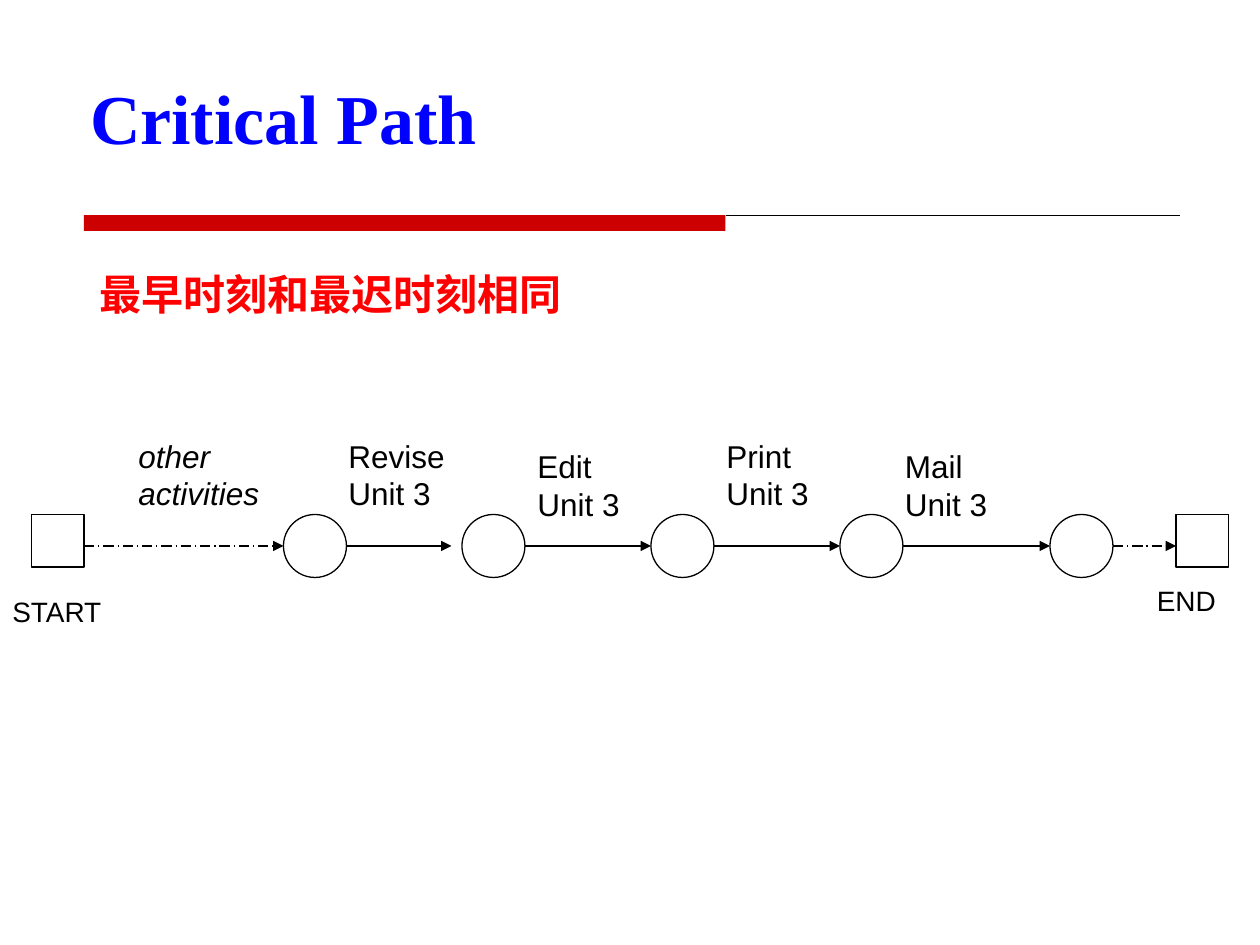
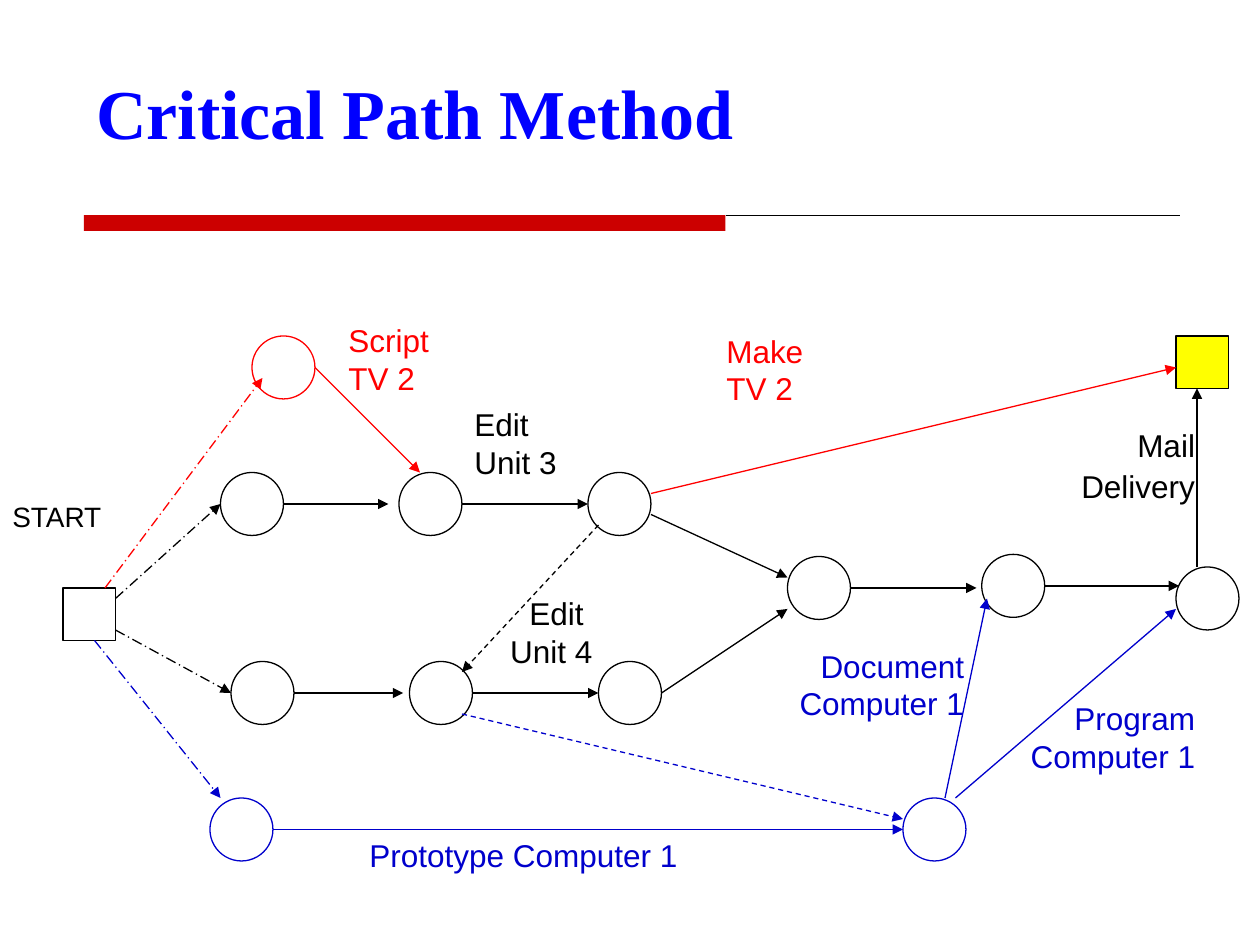
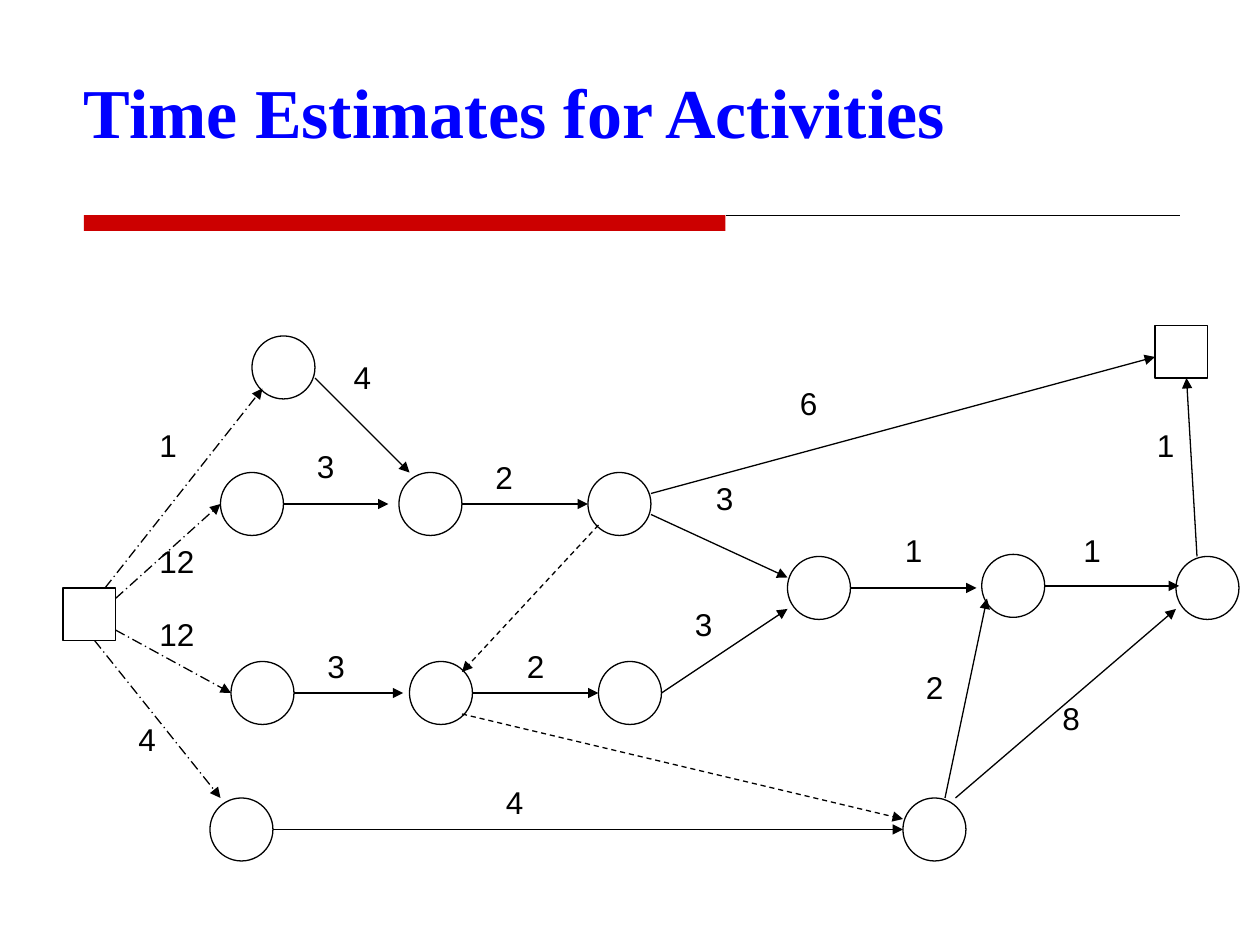
from dataclasses import dataclass

from lxml import etree
from pptx import Presentation, util as u
from pptx.dml.color import RGBColor
from pptx.enum import dml, shapes, text
from pptx.oxml.ns import qn

COLS, ROWS = 120, 90
DOT = dml.MSO_LINE.LONG_DASH_DOT
DASH = dml.MSO_LINE.DASH
RIGHT = text.PP_ALIGN.RIGHT


@dataclass(frozen=True)
class Theme:
    ink: str = "000000"
    title: str = "0000FF"
    band: str = "CC0000"
    red: str = "FF0000"
    blue: str = "0000CC"
    gold: str = "FFFF00"
    head: str = "Times New Roman"
    body: str = "Arial"
    big: int = 40
    sub: int = 24
    label: int = 18
    small: int = 16
    line: float = 0.75
    node: int = 6
    box: int = 5


class Deck:
    """Draws on the current slide; lengths are grid columns and rows."""

    def __init__(self, theme):
        self.t = theme
        self.prs = Presentation()
        self.prs.slide_width, self.prs.slide_height = u.Inches(10), u.Inches(7.5)

    def x(self, col):
        return round(self.prs.slide_width * col / COLS)

    def y(self, row):
        return round(self.prs.slide_height * row / ROWS)

    def page(self, title, col, row):
        """Starts a slide with its band, rule and title."""
        self.slide = self.prs.slides.add_slide(self.prs.slide_layouts[6])
        self.shape("RECTANGLE", 8, 20.5, 61.1, 1.5, fill=self.t.band, line=None)
        self.link((69.1, 20.5, 112.4, 20.5), head=False)
        box = self.text(title, col, row, 102, 15, self.t.title, self.t.big,
                        font=self.t.head, bold=True)
        box.vertical_anchor = text.MSO_ANCHOR.MIDDLE

    def shape(self, kind, col, row, wide, high, fill=None, line=Theme.ink):
        item = self.slide.shapes.add_shape(
            shapes.MSO_SHAPE[kind], self.x(col), self.y(row), self.x(wide), self.y(high))
        item.shadow.inherit = False
        for part, hue in ((item.fill, fill), (item.line.fill, line)):
            if hue:
                part.solid()
                part.fore_color.rgb = RGBColor.from_string(hue)
            else:
                part.background()
        if line:
            item.line.width = u.Pt(self.t.line)

    def node(self, col, row, hue=Theme.ink):
        self.shape("OVAL", col, row, self.t.node, self.t.node, line=hue)

    def box(self, col, row, fill=None):
        self.shape("RECTANGLE", col, row, self.t.box, self.t.box, fill)

    def link(self, ends, hue=Theme.ink, dash=None, head=True):
        a, b, c, d = ends
        item = self.slide.shapes.add_connector(
            shapes.MSO_CONNECTOR.STRAIGHT, self.x(a), self.y(b), self.x(c), self.y(d))
        item.line.color.rgb = RGBColor.from_string(hue)
        item.line.width = u.Pt(self.t.line)
        if dash:
            item.line.dash_style = dash
        props = item._element.spPr
        if head:
            etree.SubElement(props.find(qn("a:ln")), qn("a:tailEnd"), type="triangle")
        etree.SubElement(props, qn("a:effectLst"))

    def text(self, words, col, row, wide, high=None, hue=Theme.ink, size=Theme.label,
             font=Theme.body, bold=False, slant=False, align=None, gap=0):
        """Adds a text box, one paragraph a line; gap is the space between them."""
        lines = words.count("\n") + 1
        frame = self.slide.shapes.add_textbox(
            self.x(col), self.y(row), self.x(wide),
            self.y(high or 1.2 + 4.8 * lines)).text_frame
        frame.word_wrap = True
        frame.text = words
        for i, para in enumerate(frame.paragraphs):
            para.alignment = align
            if i and gap:
                para.space_before = u.Pt(gap)
            for run in para.runs:
                run.font.name, run.font.size = font, u.Pt(size)
                run.font.bold, run.font.italic = bold, slant
                run.font.color.rgb = RGBColor.from_string(hue)
        return frame


def chain(d):
    d.page("Critical Path", 7.4, 3.6)
    for col in (27, 44, 62, 80, 100):
        d.node(col, 49)
    for col in (3, 112):
        d.box(col, 49)
    for a, b, dash in ((8, 27, DOT), (33, 43, None), (50, 62, None),
                       (68, 80, None), (86, 100, None), (106, 112, DOT)):
        d.link((a, 52, b, 52), dash=dash)
    for word, col, row in (("Revise", 32, 41), ("Edit", 50, 42),
                           ("Print", 68, 41), ("Mail", 85, 42)):
        d.text(f"{word}\nUnit 3", col, row, 15)
    d.text("other\nactivities", 12, 41, 17, slant=True)
    d.text("START", 0, 56, 16, 5.2, size=d.t.small)
    d.text("END", 109, 55, 11, 5.2, size=d.t.small)
    d.text("最早时刻和最迟时刻相同", 8, 25, 47, hue=d.t.red, size=d.t.sub,
           font=d.t.head, bold=True, align=text.PP_ALIGN.CENTER)


def net(d, tv, pc, goal, fill, last, script, make, begin, mail):
    """Draws the network; tv and pc colour two branches, the rest places the ends."""
    for col, row in ((21, 45), (38, 45), (56, 45), (22, 63), (39, 63), (57, 63),
                     (75, 53), (93.5, 52.8), last):
        d.node(col, row)
    d.node(24, 32, tv)
    for col in (20, 86):
        d.node(col, 76, pc)
    d.box(6, 56)
    d.box(*goal, fill)
    for ends in ((27, 48, 37, 48), (44, 48, 56, 48), (28, 66, 38.4, 66),
                 (45, 66, 57, 66), (62, 49, 75, 55), (63, 66, 75, 58),
                 (81, 56, 93, 56), (99.5, 55.8, 112.3, 55.8), mail):
        d.link(ends)
    for ends in ((11, 57, 21, 48), (11, 60, 22, 66)):
        d.link(ends, dash=DOT)
    d.link((57, 50, 44, 64), dash=DASH)
    for ends, dash in ((script, None), (make, None), (begin, DOT)):
        d.link(ends, tv, dash)
    for ends, dash in (((26, 79, 86, 79), None), ((91, 76, 112, 58), None),
                       ((90, 76, 94, 57), None), ((9, 61, 21, 76), DOT),
                       ((44, 68, 86, 78), DASH)):
        d.link(ends, pc, dash)


def method(d):
    red, blue = d.t.red, d.t.blue
    d.page("Critical Path Method", 8, 3.1)
    net(d, red, blue, goal=(112, 32), fill=d.t.gold, last=(112, 54),
        script=(30, 35, 40, 45), make=(62, 47, 112, 35),
        begin=(10, 56, 25, 36), mail=(114, 54, 114, 37))
    d.text("START", 0, 47, 16, 5.2, size=d.t.small)
    d.text("Edit\nUnit 3", 44, 38, 15)
    d.text("Script\nTV 2", 32, 30, 15, hue=red)
    d.text("Make\nTV 2", 68, 31, 12, hue=red)
    d.text("Edit \nUnit 4", 43, 56, 14.6, align=RIGHT)
    d.text("Prototype Computer 1", 34, 79, 41, hue=blue)
    d.text("Program\nComputer 1", 93, 66, 22, hue=blue, align=RIGHT)
    d.text("Document\nComputer 1", 69, 61, 24, hue=blue, align=RIGHT)
    d.text("Mail\nDelivery", 98, 40, 17, align=RIGHT, gap=2)


def times(d):
    d.page("Time Estimates for Activities", 6.8, 3)
    net(d, d.t.ink, d.t.ink, goal=(110, 31), fill=None, last=(112, 53),
        script=(30, 36, 39, 45), make=(62, 47, 110, 34),
        begin=(10, 56, 25, 37), mail=(114, 53, 113, 36))
    for word, col, row in (
            ("6", 75, 36), ("4", 32.5, 33.5), ("2", 46, 43), ("2", 49, 61),
            ("3", 29, 42), ("3", 30, 61), ("1", 109, 40), ("3", 67, 45),
            ("3", 65, 57), ("8", 100, 66), ("2", 87, 63), ("1", 85, 50),
            ("1", 102, 50), ("4", 47, 74), ("12", 14, 51), ("12", 14, 58),
            ("1", 14, 40), ("4", 12, 68)):
        d.text(word, col, row, 6 * len(word))


def main():
    deck = Deck(Theme())
    for draw in (chain, method, times):
        draw(deck)
    deck.prs.save("out.pptx")


if __name__ == "__main__":
    main()
